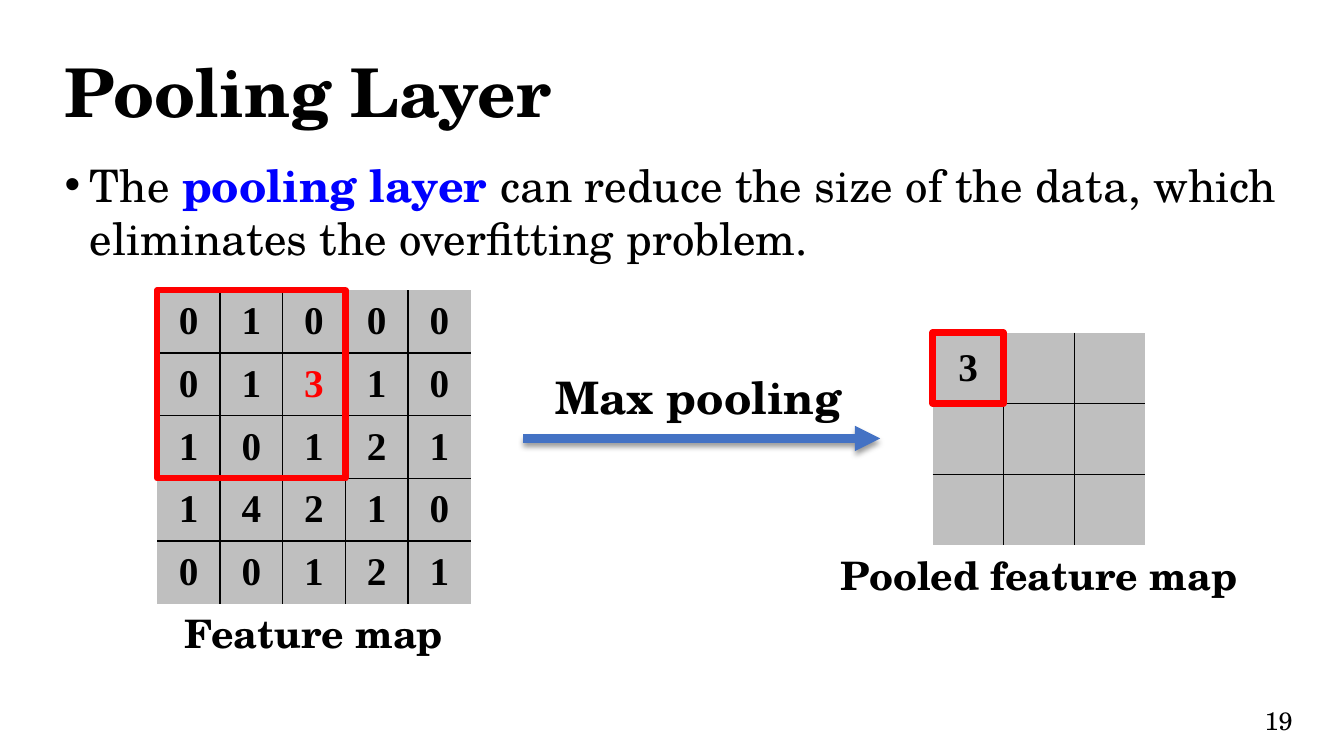
"""Build the slide that explains the pooling layer."""
from dataclasses import dataclass

from lxml import etree
from pptx import Presentation
from pptx.dml.color import RGBColor
from pptx.enum.shapes import MSO_CONNECTOR as Connector, MSO_SHAPE as Shape
from pptx.enum.text import MSO_ANCHOR as Anchor, MSO_AUTO_SIZE as AutoSize, PP_ALIGN as Align
from pptx.oxml import parse_xml
from pptx.oxml.ns import nsdecls, qn
from pptx.util import Inches, Pt


@dataclass(frozen=True)
class Theme:
    text_font: str = "TeX Gyre Schola"
    number_font: str = "Times New Roman"
    black: str = "000000"
    blue: str = "0000FF"
    red: str = "FF0000"
    gray: str = "BFBFBF"
    arrow: str = "4472C4"
    title: int = 48
    body: int = 32
    label: int = 28
    page: int = 18
    grid_line: float = 1
    window_line: float = 4.5
    arrow_line: float = 6


THEME = Theme()
NO_TABLE_STYLE = "{2D5ABB26-0587-4C30-8999-92F81FD0307C}"
SLIDE_SIZE = (13.33, 7.5)
MARGIN = 0.54
CONTENT_WIDTH = SLIDE_SIZE[0] - 2 * MARGIN

TITLE = "Pooling Layer"
STATEMENT = [
    ("The ", THEME.black, False),
    ("pooling layer ", THEME.blue, True),
    ("can reduce the size of the data, which eliminates the overfitting problem.", THEME.black, False),
]
FEATURE_MAP = ["01000", "01310", "10121", "14210", "00121"]
POOLED_MAP = ["3  ", "   ", "   "]
GRIDS = [
    dict(rows=FEATURE_MAP, corner=(1.56, 2.88), side=3.11, window=3, maximum=(1, 2),
         caption="Feature map", caption_width=2.76),
    dict(rows=POOLED_MAP, corner=(9.25, 3.3), side=2.11, window=1, maximum=None,
         caption="Pooled feature map", caption_width=4.58),
]
ARROW = dict(label="Max pooling", left=5.19, right=8.73, y=4.35)
PAGE = "19"


def add_run(paragraph, text, size, color=THEME.black, bold=True, font=THEME.text_font):
    run = paragraph.add_run()
    run.text = text
    run.font.name = font
    run.font.size = Pt(size)
    run.font.bold = bold
    run.font.color.rgb = RGBColor.from_string(color)


def place(shape, left, top, width, height):
    shape.left, shape.top, shape.width, shape.height = map(Inches, (left, top, width, height))


def add_label(slide, text, box, size, align=Align.CENTER, bold=True, anchor=Anchor.TOP, wrap=False):
    frame = slide.shapes.add_textbox(*map(Inches, box)).text_frame
    frame.word_wrap = wrap
    frame.vertical_anchor = anchor
    frame.paragraphs[0].alignment = align
    add_run(frame.paragraphs[0], text, size, bold=bold)


def fill_placeholders(slide):
    title, body = slide.shapes.title, slide.placeholders[1]
    place(title, MARGIN, 0.4, CONTENT_WIDTH, 1.1)
    place(body, MARGIN, 1.51, CONTENT_WIDTH, 5.16)
    for shape, anchor in ((title, Anchor.MIDDLE), (body, Anchor.TOP)):
        shape.text_frame.auto_size = AutoSize.NONE
        shape.text_frame.word_wrap = True
        shape.text_frame.vertical_anchor = anchor
        paragraph = shape.text_frame.paragraphs[0]
        paragraph.alignment = Align.LEFT
        paragraph.space_before = Pt(0)
    heading = title.text_frame.paragraphs[0]
    heading.line_spacing = 0.9
    add_run(heading, TITLE, THEME.title)
    statement = body.text_frame.paragraphs[0]
    properties = statement._p.get_or_add_pPr()
    properties.set("marL", str(Inches(0.25)))
    properties.set("indent", str(-Inches(0.25)))
    etree.SubElement(properties, qn("a:buFont")).set("typeface", "Arial")
    etree.SubElement(properties, qn("a:buChar")).set("char", "•")
    for text, color, bold in STATEMENT:
        add_run(statement, text, THEME.body, color, bold)


def set_borders(cell, row, column, count):
    inside = {"lnL": column > 0, "lnR": column < count - 1, "lnT": row > 0, "lnB": row < count - 1}
    for index, (side, visible) in enumerate(inside.items()):
        paint = f'<a:solidFill><a:srgbClr val="{THEME.black}"/></a:solidFill>' if visible else "<a:noFill/>"
        border = parse_xml(f'<a:{side} {nsdecls("a")} w="{Pt(THEME.grid_line)}">{paint}</a:{side}>')
        cell._tc.get_or_add_tcPr().insert(index, border)


def add_grid(slide, rows, corner, side, maximum, **_):
    count = len(rows)
    frame = slide.shapes.add_table(count, count, *map(Inches, (*corner, side, side)))
    table = frame.table
    table.first_row = table.horz_banding = False
    table._tbl.tblPr.find(qn("a:tableStyleId")).text = NO_TABLE_STYLE
    for line in table.columns:
        line.width = Inches(side / count)
    for line in table.rows:
        line.height = Inches(side / count)
    for row, values in enumerate(rows):
        for column, value in enumerate(values):
            cell = table.cell(row, column)
            cell.fill.solid()
            cell.fill.fore_color.rgb = RGBColor.from_string(THEME.gray)
            set_borders(cell, row, column, count)
            cell.vertical_anchor = Anchor.MIDDLE
            cell.margin_left = cell.margin_right = Inches(0.08)
            cell.margin_top = cell.margin_bottom = Inches(0.04)
            paragraph = cell.text_frame.paragraphs[0]
            paragraph.alignment = Align.CENTER
            if value.strip():
                color = THEME.red if (row, column) == maximum else THEME.black
                add_run(paragraph, value, THEME.label, color, font=THEME.number_font)


def add_window(slide, rows, corner, side, window, **_):
    size = side * window / len(rows)
    outline = slide.shapes.add_shape(Shape.RECTANGLE, *map(Inches, (*corner, size, size)))
    outline.shadow.inherit = False
    outline.fill.background()
    outline.line.color.rgb = RGBColor.from_string(THEME.red)
    outline.line.width = Pt(THEME.window_line)


def add_caption(slide, corner, side, caption, caption_width, **_):
    left = corner[0] + (side - caption_width) / 2
    add_label(slide, caption, (left, corner[1] + side + 0.01, caption_width, 0.57), THEME.label)


def add_arrow(slide, label, left, right, y):
    add_label(slide, label, (5.41, y - 0.73, 3.11, 0.64), THEME.body, Align.LEFT)
    arrow = slide.shapes.add_connector(Connector.STRAIGHT, *map(Inches, (left, y, right, y)))
    arrow.line.color.rgb = RGBColor.from_string(THEME.arrow)
    arrow.line.width = Pt(THEME.arrow_line)
    etree.SubElement(arrow.line._get_or_add_ln(), qn("a:tailEnd")).set("type", "triangle")
    arrow._element.spPr.append(parse_xml(
        f'<a:effectLst {nsdecls("a")}><a:outerShdw blurRad="{Pt(4)}" dist="{Pt(3)}" dir="5400000" '
        f'rotWithShape="0"><a:srgbClr val="{THEME.black}"><a:alpha val="40000"/></a:srgbClr>'
        '</a:outerShdw></a:effectLst>'))


def main():
    presentation = Presentation()
    presentation.slide_width, presentation.slide_height = map(Inches, SLIDE_SIZE)
    slide = presentation.slides.add_slide(presentation.slide_layouts[1])
    fill_placeholders(slide)
    add_label(slide, PAGE, (9.92, 6.95, 3, 0.4), THEME.page, Align.RIGHT, False, Anchor.MIDDLE, True)
    for add_part in (add_grid, add_window, add_caption):
        for grid in GRIDS:
            add_part(slide, **grid)
    add_arrow(slide, **ARROW)
    presentation.save("out.pptx")


if __name__ == "__main__":
    main()
